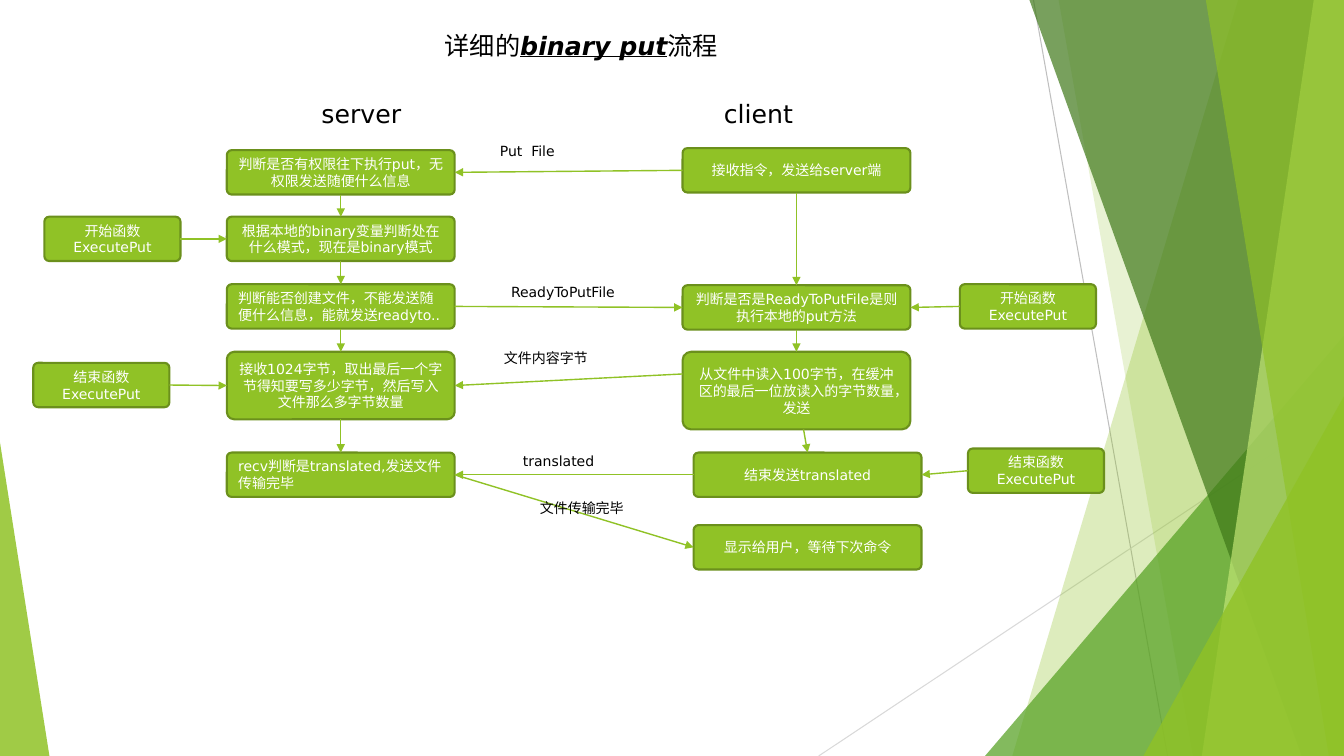
from pptx import Presentation
from pptx.dml.color import RGBColor
from pptx.enum.shapes import MSO_CONNECTOR, MSO_SHAPE
from pptx.enum.text import MSO_ANCHOR, MSO_AUTO_SIZE, PP_ALIGN
from pptx.oxml.ns import qn
from pptx.util import Inches, Pt
from lxml.etree import SubElement

GREEN = RGBColor(0x90, 0xC2, 0x26)
EDGE = RGBColor(0x6B, 0x90, 0x1C)
LEAF = RGBColor(0x54, 0xA0, 0x21)
FOREST = RGBColor(0x3F, 0x78, 0x19)
LIME = RGBColor(0xC0, 0xE4, 0x74)
GRAY = RGBColor(0xBF, 0xBF, 0xBF)
LIGHT_GRAY = RGBColor(0xD9, 0xD9, 0xD9)
BLACK = RGBColor(0, 0, 0)
WHITE = RGBColor(0xFF, 0xFF, 0xFF)
FONT = "DejaVu Sans"
W, H = 13.33, 7.5
STEP_W, BOX_H, CALL_W = 2.26, 0.44, 1.35
TOP, LEFT, BOTTOM, RIGHT = range(4)


def add_run(p, text, size, color):
    """Add one formatted run and return it."""
    r = p.add_run()
    r.text = text
    r.font.name = FONT
    r.font.size = Pt(size)
    r.font.color.rgb = color
    return r


def add_text(s, x, y, w, h, text, size, align=PP_ALIGN.LEFT):
    """Add a wrapped text box."""
    tf = s.shapes.add_textbox(Inches(x), Inches(y), Inches(w), Inches(h)).text_frame
    tf.word_wrap = True
    tf.auto_size = MSO_AUTO_SIZE.SHAPE_TO_FIT_TEXT
    tf.paragraphs[0].alignment = align
    add_run(tf.paragraphs[0], text, size, BLACK)


def add_box(s, x, y, w, h, text, align=PP_ALIGN.CENTER):
    """Add a rounded green box and return it."""
    sp = s.shapes.add_shape(MSO_SHAPE.ROUNDED_RECTANGLE,
                            Inches(x), Inches(y), Inches(w), Inches(h))
    sp.adjustments[0] = 0.11
    sp.shadow.inherit = False
    sp.fill.solid()
    sp.fill.fore_color.rgb = GREEN
    sp.line.color.rgb = EDGE
    sp.line.width = Pt(1.5)
    tf = sp.text_frame
    tf.word_wrap = True
    tf.vertical_anchor = MSO_ANCHOR.MIDDLE
    tf.paragraphs[0].alignment = align
    add_run(tf.paragraphs[0], text, 10, WHITE)
    return sp


def add_line(s, x1, y1, x2, y2, color, width):
    """Add a plain straight line and return it."""
    c = s.shapes.add_connector(MSO_CONNECTOR.STRAIGHT,
                               Inches(x1), Inches(y1), Inches(x2), Inches(y2))
    c.line.color.rgb = color
    c.line.width = Pt(width)
    SubElement(c._element.spPr, qn("a:effectLst"))
    return c


def add_arrow(s, start, target, site):
    """Draw an arrow from a point or a (box, site) pair to a site of the target."""
    a, b = start
    from_point = isinstance(a, float)
    x, y = (a, b) if from_point else (0, 0)
    c = add_line(s, x, y, x, y, GREEN, 1)
    if not from_point:
        c.begin_connect(a, b)
    c.end_connect(target, site)
    SubElement(c.line._get_or_add_ln(), qn("a:tailEnd"), type="triangle")


def tint(sp, color, alpha):
    """Fill a shape with a translucent colour and no outline."""
    sp.shadow.inherit = False
    sp.fill.solid()
    sp.fill.fore_color.rgb = color
    sp.line.fill.background()
    clr = sp._element.spPr.find(qn("a:solidFill"))[0]
    SubElement(clr, qn("a:alpha"), val=str(alpha * 1000))


def add_band(s, top_x, bottom_x, color, alpha):
    """Add a slanted band that reaches the right edge of the slide."""
    fb = s.shapes.build_freeform(Inches(top_x), 0)
    fb.add_line_segments([(Inches(W), 0), (Inches(W), Inches(H)),
                          (Inches(bottom_x), Inches(H))], close=True)
    tint(fb.convert_to_shape(), color, alpha)


def add_wedge(s, x, y, w, apex, color, alpha):
    """Add a right-angled triangle standing on the bottom edge."""
    sp = s.shapes.add_shape(MSO_SHAPE.ISOSCELES_TRIANGLE,
                            Inches(x), Inches(y), Inches(w), Inches(H - y))
    sp.adjustments[0] = apex
    tint(sp, color, alpha)


def backdrop(s):
    """Draw the green facets at the slide edges."""
    add_line(s, 10.25, 0, 11.58, H, GRAY, 0.75)
    add_line(s, W, 4.03, 8.12, H, LIGHT_GRAY, 0.75)
    add_band(s, 12.28, 10.04, GREEN, 30)
    add_band(s, 10.5, 11.83, GREEN, 20)
    add_wedge(s, 9.77, 3.33, 3.56, 1, LEAF, 72)
    add_band(s, 10.21, 12.91, FOREST, 70)
    add_band(s, 13.03, 11.92, LIME, 70)
    add_band(s, 11.96, 13.18, GREEN, 65)
    add_wedge(s, 11.34, 3.93, 1.99, 1, GREEN, 80)
    add_wedge(s, 0, 4.39, 0.49, 0, GREEN, 85)


def heading(s, x, y, w, h):
    """Fill and place the title."""
    sp = s.shapes.title
    sp.left, sp.top, sp.width, sp.height = (Inches(v) for v in (x, y, w, h))
    tf = sp.text_frame
    tf.word_wrap = True
    tf.auto_size = MSO_AUTO_SIZE.SHAPE_TO_FIT_TEXT
    tf.vertical_anchor = MSO_ANCHOR.TOP
    p = tf.paragraphs[0]
    p.alignment = PP_ALIGN.LEFT
    add_run(p, "详细的", 18, BLACK)
    r = add_run(p, "binary put", 18, BLACK)
    r.font.bold = r.font.italic = r.font.underline = True
    add_run(p, "流程", 18, BLACK)


def server_column(s, x, y):
    """Draw the server steps from the top down and return them."""
    add_text(s, x + 0.84, y - 0.56, 1.39, 0.4, "server", 18)
    steps = [
        (0, BOX_H, PP_ALIGN.CENTER, "判断是否有权限往下执行put，无权限发送随便什么信息"),
        (0.66, BOX_H, PP_ALIGN.CENTER, "根据本地的binary变量判断处在什么模式，现在是binary模式"),
        (1.33, BOX_H, PP_ALIGN.LEFT, "判断能否创建文件，不能发送随便什么信息，能就发送readyto.."),
        (2, 0.67, PP_ALIGN.CENTER, "接收1024字节，取出最后一个字节得知要写多少字节，然后写入文件那么多字节数量"),
        (3, BOX_H, PP_ALIGN.LEFT, "recv判断是translated,发送文件传输完毕")]
    boxes = [add_box(s, x, y + dy, STEP_W, h, text, align) for dy, h, align, text in steps]
    for upper, lower in zip(boxes, boxes[1:]):
        add_arrow(s, (upper, BOTTOM), lower, TOP)
    return boxes


def client_column(s, x, y):
    """Draw the client steps from the top down and return them."""
    add_text(s, x + 0.31, y - 0.54, 1.21, 0.71, "client", 18)
    steps = [
        (0, 0, BOX_H, "接收指令，发送给server端"),
        (0, 1.36, BOX_H, "判断是否是ReadyToPutFile是则执行本地的put方法"),
        (0, 2.02, 0.77, "从文件中读入100字节，在缓冲区的最后一位放读入的字节数量，发送"),
        (0.11, 3.02, BOX_H, "结束发送translated"),
        (0.11, 3.74, BOX_H, "显示给用户，等待下次命令")]
    boxes = [add_box(s, x + dx, y + dy, STEP_W, h, text) for dx, dy, h, text in steps]
    for upper, lower in zip(boxes[:2], boxes[1:3]):
        add_arrow(s, (upper, BOTTOM), lower, TOP)
    add_arrow(s, (x + 1.2, y + 2.79), boxes[3], TOP)
    return boxes


def callout(s, x, y, text, target, side):
    """Draw a function note with an arrow to one side of a step."""
    box = add_box(s, x, y, CALL_W, BOX_H, text)
    add_arrow(s, (box, LEFT if side == RIGHT else RIGHT), target, side)


def messages(s, x, y, server, client):
    """Draw the labelled arrows between the two columns."""
    add_arrow(s, (client[0], LEFT), server[0], RIGHT)
    add_arrow(s, (server[2], RIGHT), client[1], LEFT)
    add_arrow(s, (6.77, 3.71), server[3], RIGHT)
    add_arrow(s, (client[3], LEFT), server[4], RIGHT)
    add_arrow(s, (server[4], RIGHT), client[4], LEFT)
    labels = [(0.03, 0, "Put  File", PP_ALIGN.LEFT),
              (0.14, 1.4, "ReadyToPutFile", PP_ALIGN.LEFT),
              (0.07, 2.06, "文件内容字节", PP_ALIGN.LEFT),
              (0, 3.08, "translated", PP_ALIGN.CENTER),
              (0.23, 3.55, "文件传输完毕", PP_ALIGN.CENTER)]
    for dx, dy, text, align in labels:
        add_text(s, x + dx, y + dy, 1.42, 0.57, text, 10, align)


def main():
    """Build the slide and save it."""
    prs = Presentation()
    prs.slide_width, prs.slide_height = Inches(W), Inches(H)
    s = prs.slides.add_slide(prs.slide_layouts[5])
    backdrop(s)
    heading(s, 4.31, 0.25, 2.93, 0.4)
    server = server_column(s, 2.25, 1.49)
    client = client_column(s, 6.77, 1.47)
    messages(s, 4.83, 1.36, server, client)
    callout(s, 0.44, 2.15, "开始函数ExecutePut", server[1], LEFT)
    callout(s, 0.33, 3.6, "结束函数ExecutePut", server[3], LEFT)
    callout(s, 9.52, 2.82, "开始函数ExecutePut", client[1], RIGHT)
    callout(s, 9.6, 4.45, "结束函数ExecutePut", client[3], RIGHT)
    prs.save("out.pptx")


if __name__ == "__main__":
    main()
